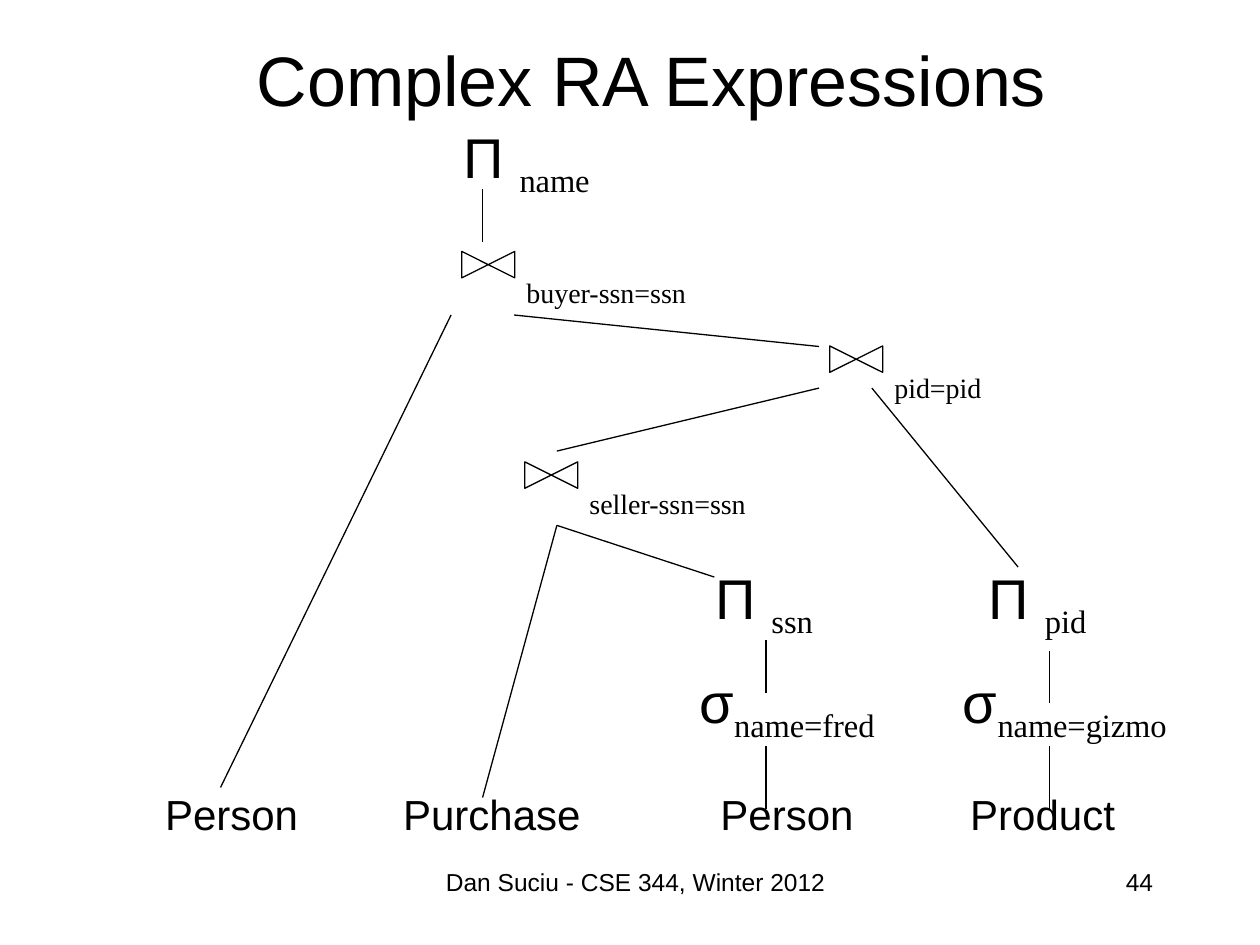
"""Build the slide of a relational algebra tree."""
from dataclasses import dataclass

from lxml.etree import SubElement
from pptx import Presentation
from pptx.dml.color import RGBColor
from pptx.enum.shapes import MSO_CONNECTOR, MSO_SHAPE
from pptx.enum.text import MSO_ANCHOR, MSO_AUTO_SIZE, PP_ALIGN
from pptx.oxml.ns import qn
from pptx.util import Inches, Pt


@dataclass(frozen=True)
class Theme:
    """Hold the colours, fonts and sizes."""
    ink: RGBColor = RGBColor(0, 0, 0)
    paper: RGBColor = RGBColor(255, 255, 255)
    sans: str = "Arial"
    serif: str = "Times New Roman"
    title: int = 40
    sign: int = 32
    leaf: int = 24
    label: int = 16
    foot: int = 14
    line: float = 0.75


@dataclass(frozen=True)
class Node:
    """Hold a sign with its subscript."""
    sign: str
    sub: str
    left: float
    top: float
    width: float


@dataclass(frozen=True)
class Join:
    """Hold a bow tie with its label."""
    text: str
    left: float
    top: float
    width: float


@dataclass(frozen=True)
class Edge:
    """Hold the two ends of a line."""
    x1: float
    y1: float
    x2: float
    y2: float


@dataclass(frozen=True)
class Leaf:
    """Hold a table name and the tracking in points of the space after it."""
    text: str
    gap: float = 0


@dataclass(frozen=True)
class Note:
    """Hold a line of text at the foot."""
    text: str
    left: float
    width: float
    align: PP_ALIGN


THEME = Theme()
NODES = (
    Node(" σ", "name=fred", 5.33, 5.25, 1.85),
    Node(" σ", "name=gizmo", 7.42, 5.25, 2.11),
    Node("Π ", "pid", 7.75, 4.42, 1.03),
    Node("Π ", "ssn", 5.58, 4.42, 1.03),
    Node("Π ", "name", 3.58, 0.92, 1.29),
)
JOINS = (
    Join("seller-ssn=ssn", 4.27, 3.56, 1.45),
    Join("pid=pid", 6.69, 2.64, 0.9),
    Join("buyer-ssn=ssn", 3.77, 1.89, 1.48),
)
EDGES = (
    Edge(6.08, 6.42, 6.08, 5.92),
    Edge(8.33, 6.42, 8.33, 5.92),
    Edge(6.08, 5.5, 6.08, 5.08),
    Edge(8.33, 5.58, 8.33, 5.17),
    Edge(3.83, 6.33, 4.42, 4.17),
    Edge(5.67, 4.58, 4.42, 4.17),
    Edge(4.42, 3.58, 6.5, 3.08),
    Edge(8.08, 4.5, 6.92, 3.08),
    Edge(6.5, 2.75, 4.08, 2.5),
    Edge(1.75, 6.25, 3.58, 2.5),
    Edge(3.83, 1.92, 3.83, 1.5),
)
LEAVES = (Leaf("Person", 53.3), Leaf("Purchase", 73.3), Leaf("Person", 60), Leaf("Product"))
NOTES = (
    Note("44", 7.17, 2.08, PP_ALIGN.RIGHT),
    Note("Dan Suciu - CSE 344, Winter 2012", 3.17, 3.75, PP_ALIGN.CENTER),
)


def place(shape, left: float, top: float, width: float, height: float) -> None:
    """Move and size a shape in inches."""
    shape.left, shape.top = Inches(left), Inches(top)
    shape.width, shape.height = Inches(width), Inches(height)


def add_run(para, text: str, size: int, font: str = THEME.sans):
    """Add one styled run."""
    run = para.add_run()
    run.text = text
    run.font.size = Pt(size)
    run.font.name = font
    run.font.color.rgb = THEME.ink
    return run


def add_box(shapes, left: float, top: float, width: float, height: float, wrap: bool = False):
    """Add a text box and return its first paragraph."""
    box = shapes.add_textbox(Inches(left), Inches(top), Inches(width), Inches(height))
    frame = box.text_frame
    frame.word_wrap = wrap
    frame.auto_size = MSO_AUTO_SIZE.NONE if wrap else MSO_AUTO_SIZE.SHAPE_TO_FIT_TEXT
    return frame.paragraphs[0]


def draw_title(title) -> None:
    """Fill the title."""
    place(title, 0.92, 0, 8.5, 1.25)
    title.text_frame.vertical_anchor = MSO_ANCHOR.MIDDLE
    para = title.text_frame.paragraphs[0]
    para.alignment = PP_ALIGN.CENTER
    add_run(para, "Complex RA Expressions", THEME.title)


def draw_leaves(body) -> None:
    """Set the leaves of the tree in one line, spread by tracked spaces."""
    place(body, 0.75, 5.75, 8.5, 1.17)
    frame = body.text_frame
    frame.auto_size = MSO_AUTO_SIZE.NONE
    frame.vertical_anchor = MSO_ANCHOR.BOTTOM
    frame.margin_bottom = Inches(0.26)
    para = frame.paragraphs[0]
    props = para._p.get_or_add_pPr()
    props.set("marL", str(Inches(0.46)))
    props.set("indent", "0")
    SubElement(props, qn("a:buNone"))
    for leaf in LEAVES:
        add_run(para, leaf.text, THEME.leaf)
        if leaf.gap:
            space = add_run(para, " ", THEME.leaf)
            space.font._element.set("spc", str(round(leaf.gap * 100)))


def draw_node(shapes, node: Node) -> None:
    """Draw a sign and its subscript."""
    para = add_box(shapes, node.left, node.top, node.width, 0.63)
    add_run(para, node.sign, THEME.sign)
    sub = add_run(para, node.sub, THEME.sign, THEME.serif)
    sub.font._element.set("baseline", "-25000")


def draw_join(shapes, join: Join) -> None:
    """Draw a bow tie grouped with its label."""
    group = shapes.add_group_shape().shapes
    bow = group.add_shape(MSO_SHAPE.FLOWCHART_COLLATE, Inches(join.left),
                          Inches(join.top), Inches(0.21), Inches(0.42))
    bow.rotation = 270
    bow.shadow.inherit = False
    bow.fill.background()
    bow.line.color.rgb = THEME.ink
    bow.line.width = Pt(THEME.line)
    para = add_box(group, join.left + 0.31, join.top + 0.25, join.width, 0.37)
    add_run(para, join.text, THEME.label, THEME.serif)


def draw_edge(shapes, edge: Edge) -> None:
    """Draw a line of the tree."""
    line = shapes.add_connector(MSO_CONNECTOR.STRAIGHT, Inches(edge.x1), Inches(edge.y1),
                                Inches(edge.x2), Inches(edge.y2))
    line.line.color.rgb = THEME.ink
    line.line.width = Pt(THEME.line)
    SubElement(line._element.spPr, qn("a:effectLst"))


def draw_note(shapes, note: Note) -> None:
    """Draw a text at the foot."""
    para = add_box(shapes, note.left, 6.83, note.width, 0.5, wrap=True)
    para.alignment = note.align
    add_run(para, note.text, THEME.foot)


def main() -> None:
    """Build and save the slide."""
    deck = Presentation()
    deck.slide_width, deck.slide_height = Inches(10), Inches(7.5)
    slide = deck.slides.add_slide(deck.slide_layouts[1])
    slide.background.fill.solid()
    slide.background.fill.fore_color.rgb = THEME.paper
    draw_title(slide.shapes.title)
    draw_leaves(slide.placeholders[1])
    for draw, items in ((draw_node, NODES), (draw_join, JOINS),
                        (draw_edge, EDGES), (draw_note, NOTES)):
        for item in items:
            draw(slide.shapes, item)
    deck.save("out.pptx")


if __name__ == "__main__":
    main()
